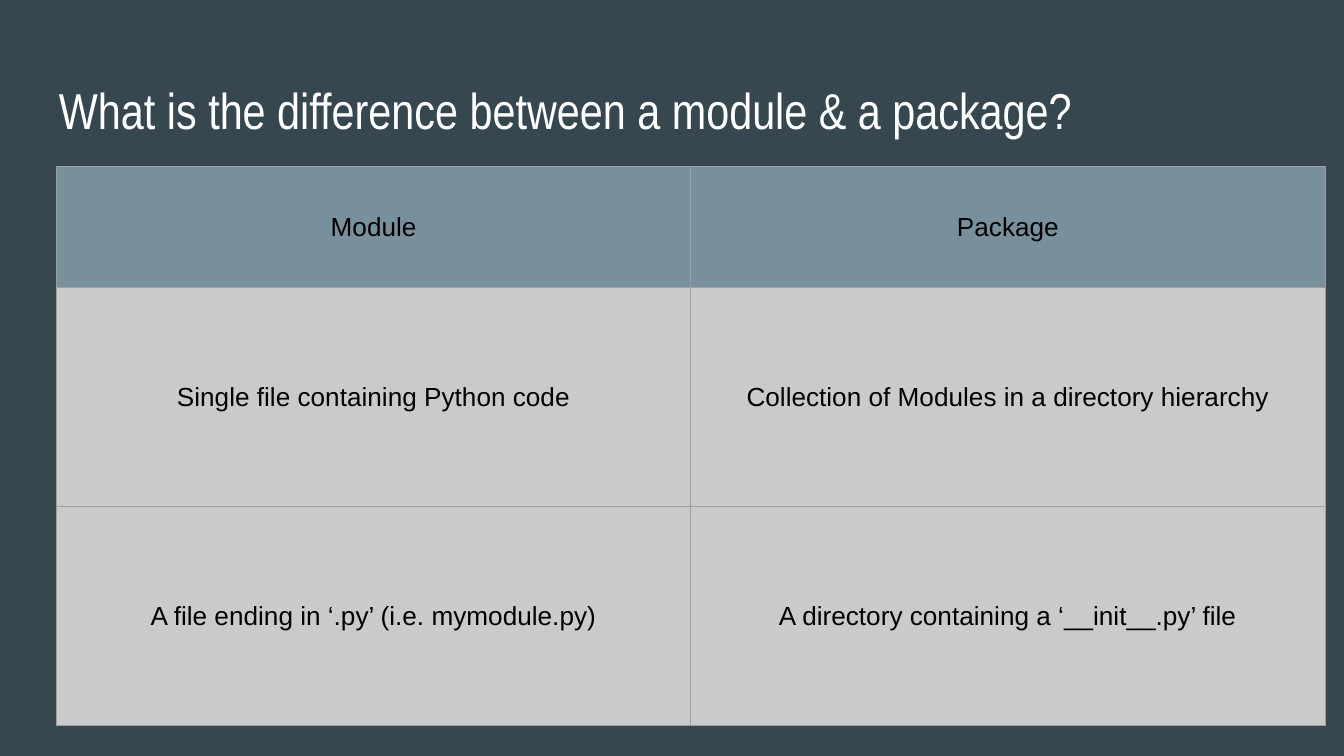
from lxml.etree import SubElement
from pptx import Presentation
from pptx.dml.color import RGBColor
from pptx.enum.text import MSO_ANCHOR, PP_ALIGN
from pptx.oxml.ns import qn
from pptx.util import Inches, Pt

COLORS = {
    "back": "37474F",
    "title": "FFFFFF",
    "text": "000000",
    "head": "78909C",
    "body": "CACACA",
    "line": "9E9E9E",
}
ROWS = [
    ("Module", "Package"),
    ("Single file containing Python code",
     "Collection of Modules in a directory hierarchy"),
    ("A file ending in ‘.py’ (i.e. mymodule.py)",
     "A directory containing a ‘__init__.py’ file"),
]
HEIGHTS = [0.9, 1.63, 1.63]
WIDTH = 4.72
PAD = Inches(0.1)


def color(name):
    return RGBColor.from_string(COLORS[name])


def add_run(para, text, font, size, tone):
    run = para.add_run()
    run.text = text
    run.font.name = font
    run.font.size = Pt(size)
    run.font.color.rgb = color(tone)


def set_pad(item):
    item.margin_left = item.margin_right = PAD
    item.margin_top = item.margin_bottom = PAD


def add_title(slide, text):
    box = slide.shapes.add_textbox(
        Inches(0.34), Inches(0.49), Inches(9.32), Inches(0.63))
    frame = box.text_frame
    frame.word_wrap = True
    set_pad(frame)
    add_run(frame.paragraphs[0], text, "Arial Narrow", 27, "title")


def add_edges(cell):
    # Borders must come before the fill in the cell properties
    props = cell._tc.get_or_add_tcPr()
    for side in ("lnL", "lnR", "lnT", "lnB"):
        line = SubElement(props, qn(f"a:{side}"), w=str(Pt(0.75)))
        fill = SubElement(line, qn("a:solidFill"))
        SubElement(fill, qn("a:srgbClr"), val=COLORS["line"])


def fill_cell(cell, text, tone):
    add_edges(cell)
    cell.fill.solid()
    cell.fill.fore_color.rgb = color(tone)
    set_pad(cell)
    cell.vertical_anchor = MSO_ANCHOR.MIDDLE
    para = cell.text_frame.paragraphs[0]
    para.alignment = PP_ALIGN.CENTER
    add_run(para, text, "Arial", 14, "text")


def add_grid(slide):
    cols = len(ROWS[0])
    table = slide.shapes.add_table(
        len(ROWS), cols, Inches(0.42), Inches(1.24),
        Inches(WIDTH * cols), Inches(sum(HEIGHTS))).table
    table.horz_banding = False
    for col in table.columns:
        col.width = Inches(WIDTH)
    for r, (texts, height) in enumerate(zip(ROWS, HEIGHTS)):
        table.rows[r].height = Inches(height)
        for c, text in enumerate(texts):
            fill_cell(table.cell(r, c), text, "body" if r else "head")


def main():
    # Widescreen page, 16 to 9
    deck = Presentation()
    deck.slide_width = Inches(10)
    deck.slide_height = Inches(10) * 9 // 16
    slide = deck.slides.add_slide(deck.slide_layouts[6])

    # Background
    back = slide.background.fill
    back.solid()
    back.fore_color.rgb = color("back")

    # Title and comparison table
    add_title(slide, "What is the difference between a module & a package?")
    add_grid(slide)

    deck.save("out.pptx")


if __name__ == "__main__":
    main()
